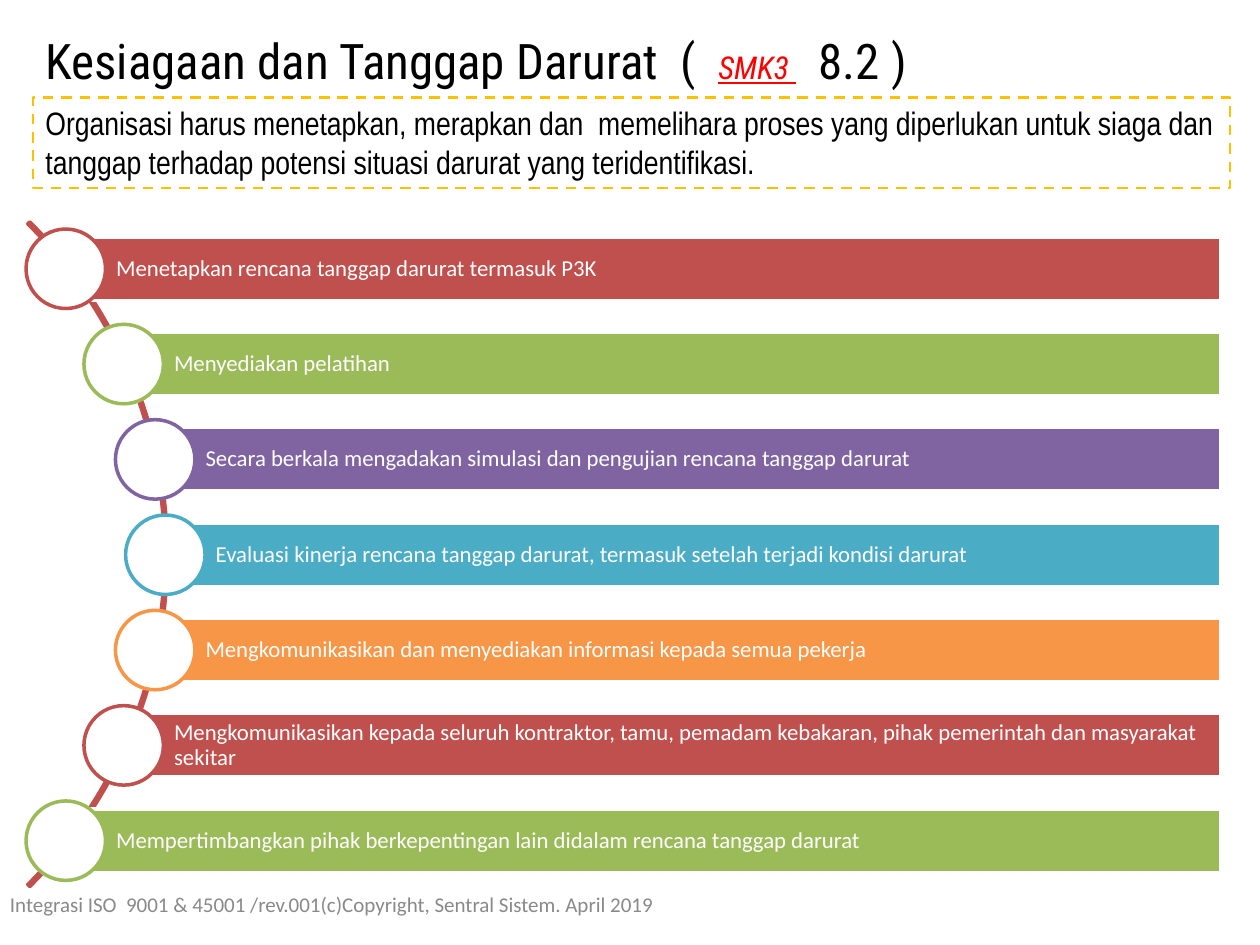
from pptx import Presentation
from pptx.dml.color import RGBColor
from pptx.enum.dml import MSO_LINE
from pptx.enum.shapes import MSO_SHAPE as Shape
from pptx.enum.text import MSO_ANCHOR as Anchor, MSO_AUTO_SIZE as AutoSize, PP_ALIGN as Align
from pptx.util import Pt

COLORS = {
    "black": "000000", "white": "FFFFFF", "highlight": "FF0000",
    "gold": "FFC000", "footer": "898989",
    "red": "C0504D", "green": "9BBB59", "purple": "8064A2",
    "teal": "4BACC6", "orange": "F79646",
}


def color(name):
    return RGBColor.from_string(COLORS[name])


def add_outlined(kind, left, top, width, height, line, weight=2, fill=None):
    shape = page.shapes.add_shape(kind, Pt(left), Pt(top), Pt(width), Pt(height))
    shape.shadow.inherit = False
    if fill:
        shape.fill.solid()
        shape.fill.fore_color.rgb = color(fill)
    else:
        shape.fill.background()
    shape.line.color.rgb = color(line)
    shape.line.width = Pt(weight)
    return shape


deck = Presentation()
deck.slide_width, deck.slide_height = Pt(720), Pt(540)
page = deck.slides.add_slide(deck.slide_layouts[5])

# Title
title = page.shapes.title
title.left, title.top, title.width, title.height = Pt(18.9), Pt(13.9), Pt(569.5), Pt(41.2)
frame = title.text_frame
frame.word_wrap = True
frame.auto_size = AutoSize.NONE
frame.vertical_anchor = Anchor.TOP
para = frame.paragraphs[0]
para.alignment = Align.LEFT
for text, size, tint in [
    ("Kesiagaan dan Tanggap Darurat  (  ", 28, "black"),
    ("SMK3 ", 18, "highlight"),
    ("  8.2 )", 28, "black"),
]:
    span = para.add_run()
    span.text = text
    span.font.name = "Roboto Condensed"
    span.font.size = Pt(size)
    span.font.color.rgb = color(tint)
    span.font.italic = span.font.underline = tint == "highlight"

# Requirement in a dashed frame
requirement = add_outlined(Shape.RECTANGLE, 18.9, 55.6, 684, 52, "gold", 1.5)
requirement.line.dash_style = MSO_LINE.DASH
frame = requirement.text_frame
frame.word_wrap = True
frame.vertical_anchor = Anchor.TOP
frame.text = (
    "Organisasi harus menetapkan, merapkan dan  memelihara proses yang diperlukan "
    "untuk siaga dan tanggap terhadap potensi situasi darurat yang teridentifikasi."
)
para = frame.paragraphs[0]
para.alignment = Align.LEFT
para.font.name = "Arial Narrow"
para.font.size = Pt(18.5)
para.font.color.rgb = color("black")

# Arc behind the steps
arc = add_outlined(Shape.BLOCK_ARC, -441.4, 48.2, 537.1, 537.1, "red")
for index, value in enumerate([189, 27, 0.003]):
    arc.adjustments[index] = value

# Steps: a bar with a circle centred on its left end
BAR_RIGHT, BAR_HEIGHT, CIRCLE = 697.7, 36.3, 45.4
FIRST_MIDDLE, PITCH = 153.6, 54.47
steps = [
    (37.6, "red", "Menetapkan rencana tanggap darurat termasuk P3K"),
    (70.7, "green", "Menyediakan pelatihan"),
    (88.7, "purple", "Secara berkala mengadakan simulasi dan pengujian rencana tanggap darurat"),
    (94.5, "teal", "Evaluasi kinerja rencana tanggap darurat, termasuk setelah terjadi kondisi darurat"),
    (88.7, "orange", "Mengkomunikasikan dan menyediakan informasi kepada semua pekerja"),
    (70.7, "red", "Mengkomunikasikan kepada seluruh kontraktor, tamu, pemadam kebakaran, "
                  "pihak pemerintah dan masyarakat sekitar"),
    (37.6, "green", "Mempertimbangkan pihak berkepentingan lain didalam rencana tanggap darurat"),
]
for index, (left, tint, text) in enumerate(steps):
    middle = FIRST_MIDDLE + index * PITCH
    bar = add_outlined(Shape.RECTANGLE, left, middle - BAR_HEIGHT / 2,
                       BAR_RIGHT - left, BAR_HEIGHT, "white", fill=tint)
    frame = bar.text_frame
    frame.word_wrap = True
    frame.vertical_anchor = Anchor.MIDDLE
    frame.margin_left = Pt(28.8)
    frame.margin_top = frame.margin_right = frame.margin_bottom = Pt(2.6)
    frame.text = text
    para = frame.paragraphs[0]
    para.alignment = Align.LEFT
    para.line_spacing = 0.9
    para.font.name = "Calibri"
    para.font.size = Pt(13)
    para.font.color.rgb = color("white")
    add_outlined(Shape.OVAL, left - CIRCLE / 2, middle - CIRCLE / 2,
                 CIRCLE, CIRCLE, tint, fill="white")

# Footer
footer = page.shapes.add_textbox(Pt(-1.4), Pt(502), Pt(386), Pt(28.8))
frame = footer.text_frame
frame.word_wrap = True
frame.vertical_anchor = Anchor.MIDDLE
frame.text = "Integrasi ISO  9001 & 45001 /rev.001(c)Copyright, Sentral Sistem. April 2019"
para = frame.paragraphs[0]
para.font.name = "Calibri"
para.font.size = Pt(12)
para.font.color.rgb = color("footer")

deck.save("out.pptx")
